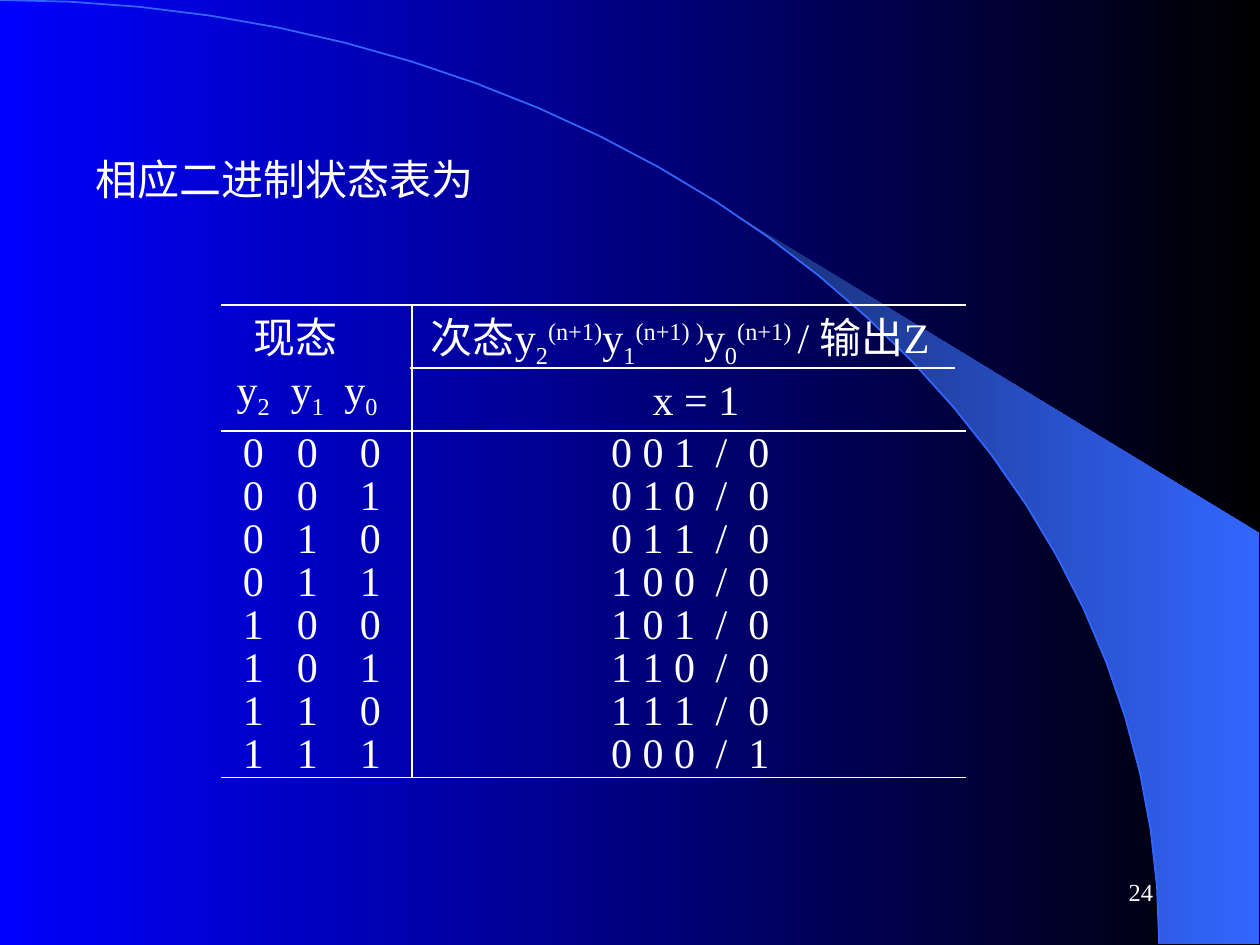
from math import asin, cos, pi, sin
from lxml.etree import SubElement as Sub
from pptx import Presentation
from pptx.dml.color import RGBColor as RGB
from pptx.enum.shapes import MSO_CONNECTOR as Link
from pptx.enum.text import MSO_ANCHOR as Anchor, PP_ALIGN as Align
from pptx.oxml.ns import qn
from pptx.util import Inches, Pt

HUES = {"text": "FFFFFF", "blue": "0000FF", "black": "000000",
        "navy": "182F76", "sky": "3366FF"}
FONT = "Times New Roman"
PLAIN = "{2D5ABB26-0587-4C30-8999-92F81FD0307C}"  # table style without a grid
COL, ROW = Inches(0.1), Inches(0.075)  # the slide is 100 columns by 100 rows
SUB, SUP = -25000, 30000


def cols(n):
    return round(n * COL)


def rows(n):
    return round(n * ROW)


def place(box):
    left, top, wide, high = box
    return cols(left), rows(top), cols(wide), rows(high)


def write(frame, text, size=24, align=Align.LEFT, gap=None, tabs=()):
    """Text is a string or a list of (string, baseline shift) pairs."""
    par = frame.paragraphs[0]
    par.alignment = align
    if gap:
        par.line_spacing = gap
    if tabs:
        stops = Sub(par._p.get_or_add_pPr(), qn("a:tabLst"))
        for stop in tabs:
            Sub(stops, qn("a:tab"), pos=str(cols(stop)), algn="l")
    for part, shift in [(text, 0)] if isinstance(text, str) else text:
        run = par.add_run()
        run.text = part
        run.font.size, run.font.name = Pt(size), FONT
        run.font.color.rgb = RGB.from_string(HUES["text"])
        if shift:
            run._r.get_or_add_rPr().set("baseline", str(shift))


def label(slide, box, text, wrap=False, anchor=Anchor.TOP, **form):
    frame = slide.shapes.add_textbox(*place(box)).text_frame
    frame.word_wrap, frame.vertical_anchor = wrap, anchor
    write(frame, text, **form)


def blend(fill, start, end):
    fill.gradient()
    fill.gradient_angle = 0
    for stop, hue in zip(fill.gradient_stops, (start, end)):
        stop.color.rgb = RGB.from_string(HUES[hue])


def curve(box, start=0, count=26):
    """Points on the top right quarter of an ellipse."""
    left, top, wide, high = place(box)
    turns = [start + (pi / 2 - start) * i / count for i in range(count + 1)]
    return [(round(left + wide * sin(t)), round(top + high * (1 - cos(t))))
            for t in turns]


def trace(slide, points, close):
    pen = slide.shapes.build_freeform(*points[0])
    pen.add_line_segments(points[1:], close=close)
    shape = pen.convert_to_shape()
    shape.shadow.inherit = False
    return shape


def backdrop(slide, box):
    blend(slide.background.fill, "blue", "black")
    # Light beam, bounded by the arc
    left, top, wide, high = box
    edge = [(cols(99.9), rows(top + high)), (cols(99.9), rows(56.4))]
    beam = trace(slide, curve(box, asin(0.64), 14) + edge, True)
    blend(beam.fill, "navy", "sky")
    beam.line.fill.background()
    # Arc
    arc = trace(slide, curve(box), False)
    arc.fill.background()
    arc.line.color.rgb = RGB.from_string(HUES["sky"])
    arc.line.width = Pt(1)


def rule(slide, start, end):
    (x1, y1), (x2, y2) = start, end
    line = slide.shapes.add_connector(
        Link.STRAIGHT, cols(x1), rows(y1), cols(x2), rows(y2))
    line.line.color.rgb = RGB.from_string(HUES["text"])
    line.line.width = Pt(0.75)
    Sub(line._element.spPr, qn("a:effectLst"))


def states(slide, box):
    left, top, wide, high = box
    count = 8
    frame = slide.shapes.add_table(count + 2, 4, *place(box))
    grid = frame.table
    grid.first_row = grid.horz_banding = False
    frame._element.find(".//" + qn("a:tableStyleId")).text = PLAIN
    for col, part in zip(grid.columns, (5.2, 3.4, 6.6, 44)):
        col.width = cols(wide * part / 59.2)
    for row, part in zip(grid.rows, [50, 53] + [34] * count):
        row.height = rows(high * part / 375)

    # Margins and empty fills
    for cell in grid.iter_cells():
        cell.fill.background()
        cell.margin_left = cell.margin_right = 0
        cell.margin_top = cell.margin_bottom = 0
        cell.vertical_anchor = Anchor.MIDDLE

    # Headings
    now, later, turn = grid.cell(0, 0), grid.cell(0, 3), grid.cell(1, 3)
    now.merge(grid.cell(0, 2))
    now.margin_right, now.margin_bottom = cols(3.3), rows(0.4)
    write(now.text_frame, "现态", align=Align.CENTER)
    power = "(n+1)"
    later.margin_left, later.margin_bottom = cols(1.5), rows(0.3)
    write(later.text_frame, [
        ("次态y", 0), ("2", SUB), (power, SUP), ("y", 0), ("1", SUB),
        (power + " )", SUP), ("y", 0), ("0", SUB), (power + " ", SUP),
        ("/ 输出Z", 0)])
    for c, digit in enumerate("210"):
        cell = grid.cell(1, c)
        cell.vertical_anchor = Anchor.TOP
        write(cell.text_frame, [("y", 0), (digit, SUB)], align=Align.CENTER)
    grid.cell(1, 2).margin_right = cols(1.5)
    turn.margin_left = cols(1.1)
    write(turn.text_frame, "x = 1", align=Align.CENTER)

    # Each state steps to the next one; the last wraps round and gives 1
    for n in range(count):
        for c, bit in enumerate(f"{n:03b}"):
            write(grid.cell(n + 2, c).text_frame, bit, gap=0.85,
                  align=Align.CENTER)
        after = (n + 1) % count
        last = grid.cell(n + 2, 3)
        last.margin_left = cols(15.8)
        write(last.text_frame, " ".join(f"{after:03b}") + f"\t/\t{int(after == 0)}",
              gap=0.85, tabs=(8.3, 10.9))

    # Rules
    right, base, mid = left + wide, top + high, left + 15.2
    for y in (top, top + high * 4 / 15, base):
        rule(slide, (left, y), (right, y))
    rule(slide, (mid, top), (mid, base))
    split = top + high * 2 / 15
    rule(slide, (mid - 0.2, split), (right - 0.9, split))


def main():
    deck = Presentation()
    deck.slide_width, deck.slide_height = cols(100), rows(100)
    slide = deck.slides.add_slide(deck.slide_layouts[6])
    backdrop(slide, (0, 0, 92, 99.87))
    label(slide, (71.7, 91.07, 20.8, 6.67), "24", size=14, wrap=True,
          align=Align.RIGHT, anchor=Anchor.MIDDLE)
    label(slide, (6.6, 15.6, 32, 6.67), "相应二进制状态表为")
    states(slide, (17.5, 32.27, 59.2, 50))
    deck.save("out.pptx")


if __name__ == "__main__":
    main()
